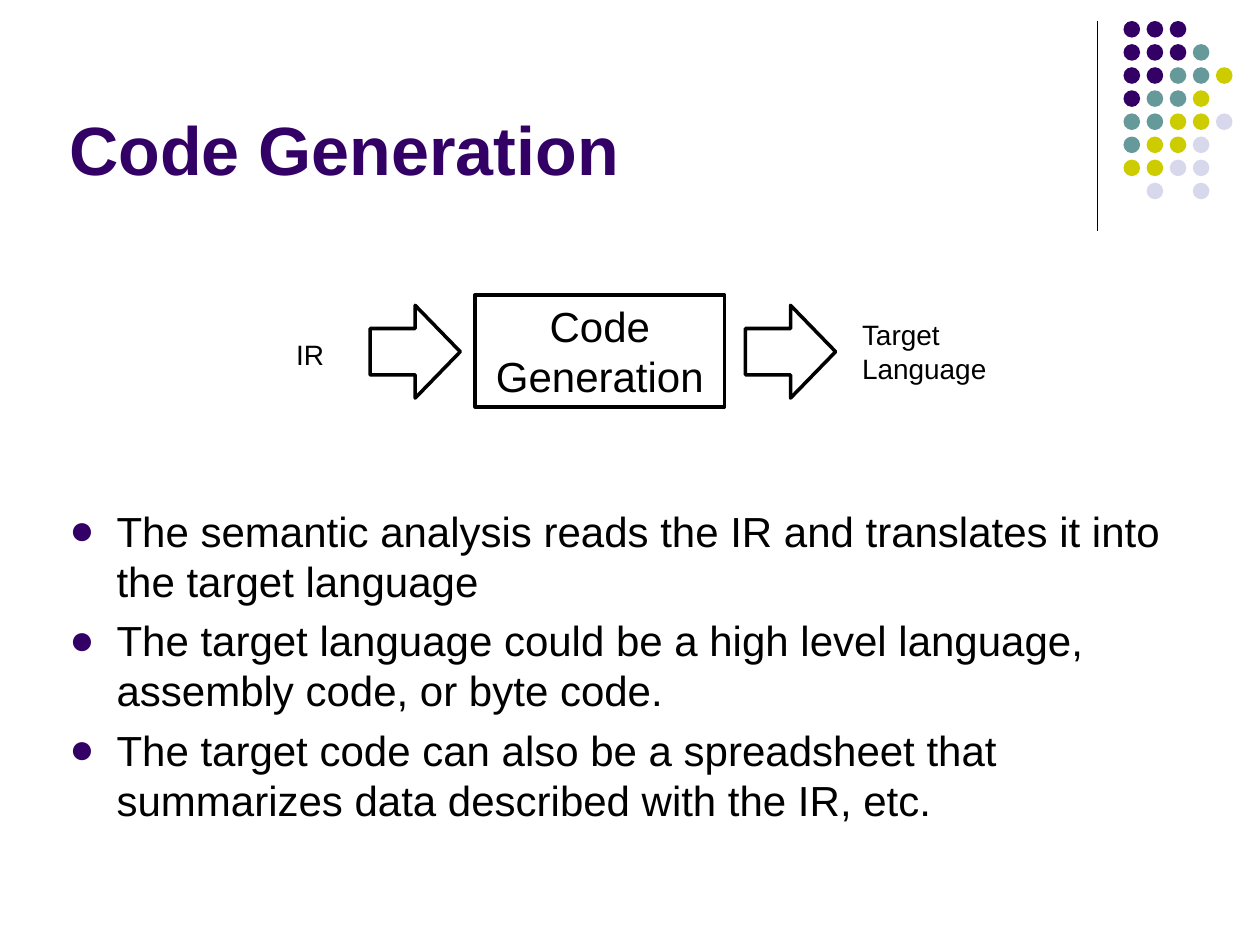
from dataclasses import dataclass

import pptx
import pptx.dml.color
import pptx.enum.shapes
import pptx.enum.text
import pptx.oxml
import pptx.oxml.ns
import pptx.util
from lxml import etree

Pt = pptx.util.Pt
RGBColor = pptx.dml.color.RGBColor
Shape = pptx.enum.shapes.MSO_SHAPE
Align = pptx.enum.text.PP_ALIGN
Anchor = pptx.enum.text.MSO_ANCHOR
AutoSize = pptx.enum.text.MSO_AUTO_SIZE
qn = pptx.oxml.ns.qn

PURPLE = RGBColor(0x33, 0x00, 0x66)
TEAL = RGBColor(0x66, 0x99, 0x99)
YELLOW = RGBColor(0xCC, 0xCC, 0x00)
LAVENDER = RGBColor(0xD8, 0xD8, 0xEC)
BLACK = RGBColor(0, 0, 0)
WHITE = RGBColor(0xFF, 0xFF, 0xFF)

FONT = "Arial"
DOT_COLORS = {"P": PURPLE, "T": TEAL, "Y": YELLOW, "L": LAVENDER}
DOT_ROWS = ["PPP", "PPPT", "PPTTY", "PTTY", "TTYYL", "TYYL", "YYLL", " L L"]
DOT_LEFT, DOT_TOP, DOT_STEP, DOT_SIZE = 642, 12, 13.2, 9.5

POINTS = [
    "The semantic analysis reads the IR and translates it into the target language",
    "The target language could be a high level language, assembly code, or byte code.",
    "The target code can also be a spreadsheet that summarizes data described with the IR, etc.",
]


@dataclass
class Box:
    left: float
    top: float
    width: float
    height: float

    def lengths(self) -> tuple:
        return Pt(self.left), Pt(self.top), Pt(self.width), Pt(self.height)


@dataclass
class Label:
    box: Box
    text: str
    align: Align
    wrap: bool


ARROWS = [Box(211.5, 174.5, 51.5, 53), Box(426, 174.5, 51.5, 53)]
LABELS = [
    Label(Box(165, 189.5, 24.5, 24.5), "IR", Align.CENTER, False),
    Label(Box(489, 178, 79, 42.5), "Target\vLanguage", Align.LEFT, True),
]


def set_frame(frame, auto_size: AutoSize, anchor: Anchor, wrap: bool = True) -> None:
    frame.margin_left = frame.margin_right = Pt(3.6)
    frame.margin_top = frame.margin_bottom = Pt(3.6)
    frame.word_wrap = wrap
    frame.auto_size = auto_size
    frame.vertical_anchor = anchor


def set_font(paragraph, size: float, color: RGBColor = BLACK, bold: bool = False) -> None:
    font = paragraph.font
    font.name = FONT
    font.size = Pt(size)
    font.bold = bold
    font.color.rgb = color


def set_bullet(paragraph) -> None:
    properties = paragraph._p.get_or_add_pPr()
    properties.set("marL", str(Pt(27)))
    properties.set("indent", str(Pt(-27)))
    color = etree.SubElement(properties, qn("a:buClr"))
    etree.SubElement(color, qn("a:srgbClr"), val=str(PURPLE))
    etree.SubElement(properties, qn("a:buFont"), typeface=FONT)
    etree.SubElement(properties, qn("a:buChar"), char="●")


def place(placeholder, box: Box) -> None:
    placeholder.left, placeholder.top, placeholder.width, placeholder.height = box.lengths()


def add_title(slide) -> None:
    title = slide.shapes.title
    place(title, Box(36, 9.5, 594, 102))
    set_frame(title.text_frame, AutoSize.NONE, Anchor.BOTTOM)
    paragraph = title.text_frame.paragraphs[0]
    paragraph.text = "Code Generation"
    paragraph.alignment = Align.LEFT
    set_font(paragraph, 39, PURPLE, True)


def add_points(slide) -> None:
    body = slide.placeholders[1]
    place(body, Box(36, 285, 648, 206.5))
    frame = body.text_frame
    set_frame(frame, AutoSize.NONE, Anchor.TOP)
    frame.text = "\n".join(POINTS)
    for index, paragraph in enumerate(frame.paragraphs):
        paragraph.space_before = Pt(5 if index else 0)
        set_bullet(paragraph)
        set_font(paragraph, 24)


def add_dots(slide) -> None:
    group = slide.shapes.add_group_shape()
    for row, letters in enumerate(DOT_ROWS):
        for column, letter in enumerate(letters):
            if letter == " ":
                continue
            box = Box(DOT_LEFT + column * DOT_STEP, DOT_TOP + row * DOT_STEP, DOT_SIZE, DOT_SIZE)
            dot = group.shapes.add_shape(Shape.OVAL, *box.lengths())
            dot.shadow.inherit = False
            dot.fill.solid()
            dot.fill.fore_color.rgb = DOT_COLORS[letter]
            dot.line.fill.background()


def add_divider(slide) -> None:
    divider = slide.shapes.add_connector(
        pptx.enum.shapes.MSO_CONNECTOR.STRAIGHT, Pt(627), Pt(12), Pt(627), Pt(132))
    divider.line.color.rgb = BLACK
    divider.line.width = Pt(0.75)
    etree.SubElement(divider._element.spPr, qn("a:effectLst"))


def add_outlined(slide, kind: Shape, box: Box):
    shape = slide.shapes.add_shape(kind, *box.lengths())
    shape.shadow.inherit = False
    shape.fill.solid()
    shape.fill.fore_color.rgb = WHITE
    shape.line.color.rgb = BLACK
    shape.line.width = Pt(2)
    return shape


def add_stage(slide) -> None:
    stage = add_outlined(slide, Shape.RECTANGLE, Box(271.5, 168.5, 142.5, 64))
    set_frame(stage.text_frame, AutoSize.SHAPE_TO_FIT_TEXT, Anchor.MIDDLE)
    stage.text_frame.text = "Code\nGeneration"
    for paragraph in stage.text_frame.paragraphs:
        paragraph.alignment = Align.CENTER
        set_font(paragraph, 24)


def add_label(slide, label: Label) -> None:
    frame = slide.shapes.add_textbox(*label.box.lengths()).text_frame
    set_frame(frame, AutoSize.SHAPE_TO_FIT_TEXT, Anchor.TOP, label.wrap)
    paragraph = frame.paragraphs[0]
    paragraph.text = label.text
    paragraph.alignment = label.align
    set_font(paragraph, 16)


def main() -> None:
    presentation = pptx.Presentation()
    presentation.slide_width, presentation.slide_height = Pt(720), Pt(540)
    slide = presentation.slides.add_slide(presentation.slide_layouts[1])
    add_divider(slide)
    add_dots(slide)
    add_title(slide)
    add_points(slide)
    add_stage(slide)
    for arrow in ARROWS:
        add_outlined(slide, Shape.RIGHT_ARROW, arrow)
    for label in LABELS:
        add_label(slide, label)
    presentation.save("out.pptx")


if __name__ == "__main__":
    main()
